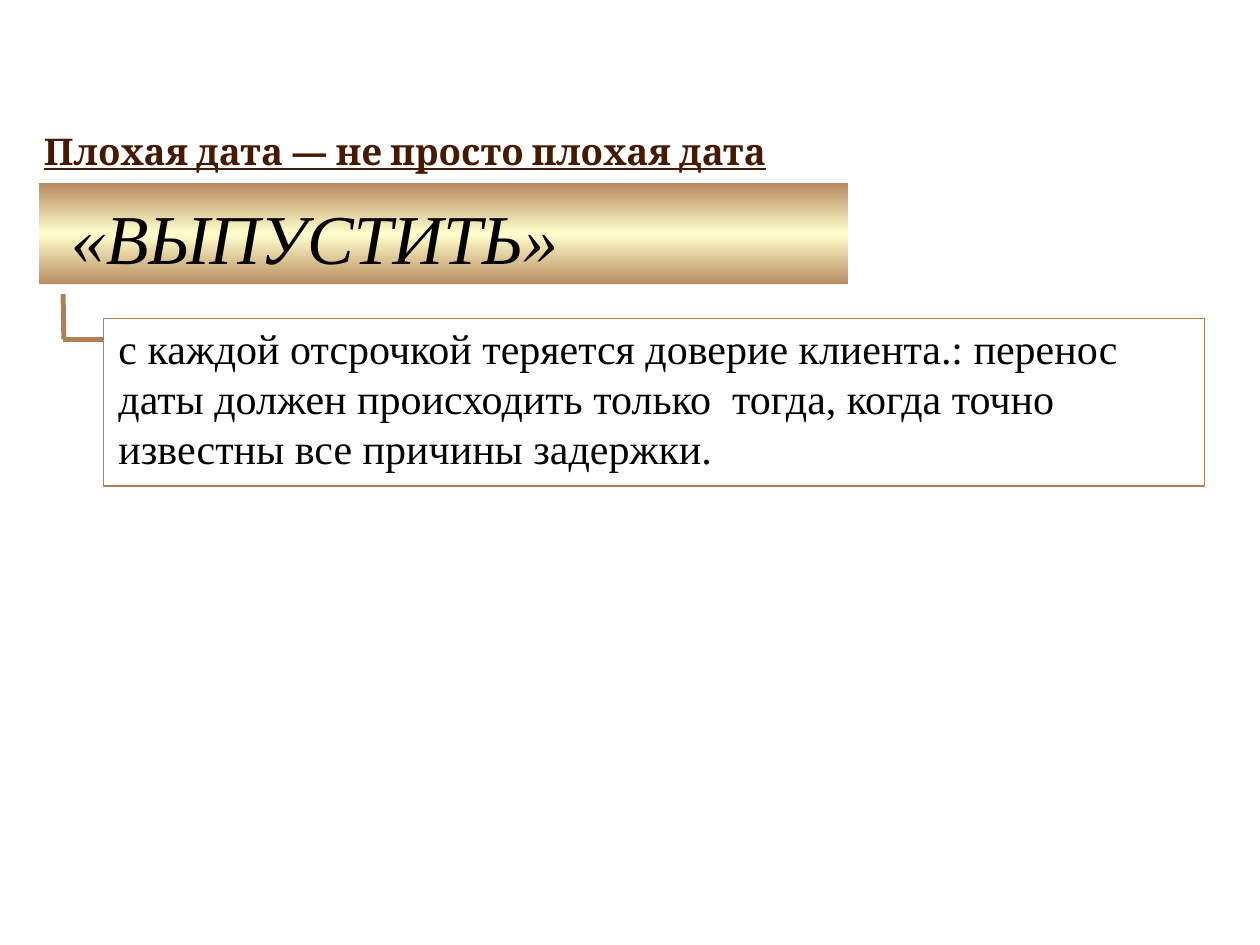
from copy import deepcopy

from pptx import Presentation
from pptx.dml.color import RGBColor
from pptx.enum.shapes import MSO_CONNECTOR, MSO_SHAPE
from pptx.enum.text import MSO_ANCHOR, PP_ALIGN
from pptx.oxml.ns import qn
from pptx.util import Pt
from lxml.etree import SubElement

BROWN = RGBColor(0xB2, 0x7F, 0x54)
CREAM = RGBColor(0xFF, 0xFF, 0xCC)
DARK = RGBColor(0x46, 0x19, 0x00)
BLACK = RGBColor(0, 0, 0)
WHITE = RGBColor(0xFF, 0xFF, 0xFF)
SERIF = "Times New Roman"


class Deck:
    def __init__(self):
        self.prs = Presentation()
        self.prs.slide_width, self.prs.slide_height = Pt(720), Pt(540)
        self.slide = self.prs.slides.add_slide(self.prs.slide_layouts[6])

    def line(self, *ends):
        link = self.slide.shapes.add_connector(
            MSO_CONNECTOR.STRAIGHT, *[Pt(n) for n in ends])
        link.line.color.rgb = BROWN
        link.line.width = Pt(2.83)
        SubElement(link._element.spPr, qn("a:effectLst"))

    def rect(self, area, edge, width):
        box = self.slide.shapes.add_shape(
            MSO_SHAPE.RECTANGLE, *[Pt(n) for n in area])
        box.shadow.inherit = False
        box.fill.solid()
        box.fill.fore_color.rgb = WHITE
        box.line.color.rgb = edge
        box.line.width = Pt(width)
        return box

    def blend(self, box):
        box.fill.gradient()
        box.fill.gradient_angle = 90
        first = box.fill.gradient_stops[0]
        first.color.rgb = BROWN
        first.position = 0
        last = box.fill.gradient_stops[1]
        last.color.rgb = BROWN
        last.position = 1
        first._gs.addnext(deepcopy(first._gs))
        mid = box.fill.gradient_stops[1]
        mid.color.rgb = CREAM
        mid.position = 0.5

    def label(self, area):
        return self.slide.shapes.add_textbox(*[Pt(n) for n in area])

    def text(self, box, inset, runs, wrap=True, anchor=MSO_ANCHOR.TOP):
        frame = box.text_frame
        frame.word_wrap = wrap
        frame.vertical_anchor = anchor
        (frame.margin_left, frame.margin_top,
         frame.margin_right, frame.margin_bottom) = [Pt(n) for n in inset]
        para = frame.paragraphs[0]
        para.alignment = PP_ALIGN.LEFT
        for words, size, name, color, style in runs:
            run = para.add_run()
            run.text = words
            font = run.font
            font.size, font.name = Pt(size), name
            font.color.rgb = color
            font.bold = "b" in style
            font.italic = "i" in style
            font.underline = "u" in style


def main():
    deck = Deck()
    deck.line(36, 165, 36.5, 194)
    deck.line(36, 194, 65, 194)

    note = deck.rect((59.2, 182, 629.3, 95.8), BROWN, 0.75)
    deck.text(note, (8.5, 2, 0, 0), [
        ("с каждой отсрочкой теряется доверие клиента.: перенос даты "
         "должен происходить только  тогда, когда точно известны все "
         "причины задержки.", 24, SERIF, BLACK, "")])

    band = deck.rect((19.5, 102, 468, 63.4), WHITE, 5.67)
    deck.blend(band)
    deck.text(band, (10, 6.5, 10, 6.5), [
        (" ", 44, SERIF, BLACK, "b"),
        ("«ВЫПУСТИТЬ»", 40, SERIF, BLACK, "i")],
        wrap=False, anchor=MSO_ANCHOR.MIDDLE)

    title = deck.label((18, 70, 538, 32.4))
    deck.text(title, (7.2, 3.6, 7.2, 3.6), [
        ("Плохая дата — не просто плохая дата", 21, "Cambria", DARK, "bu")])

    deck.prs.save("out.pptx")


if __name__ == "__main__":
    main()
